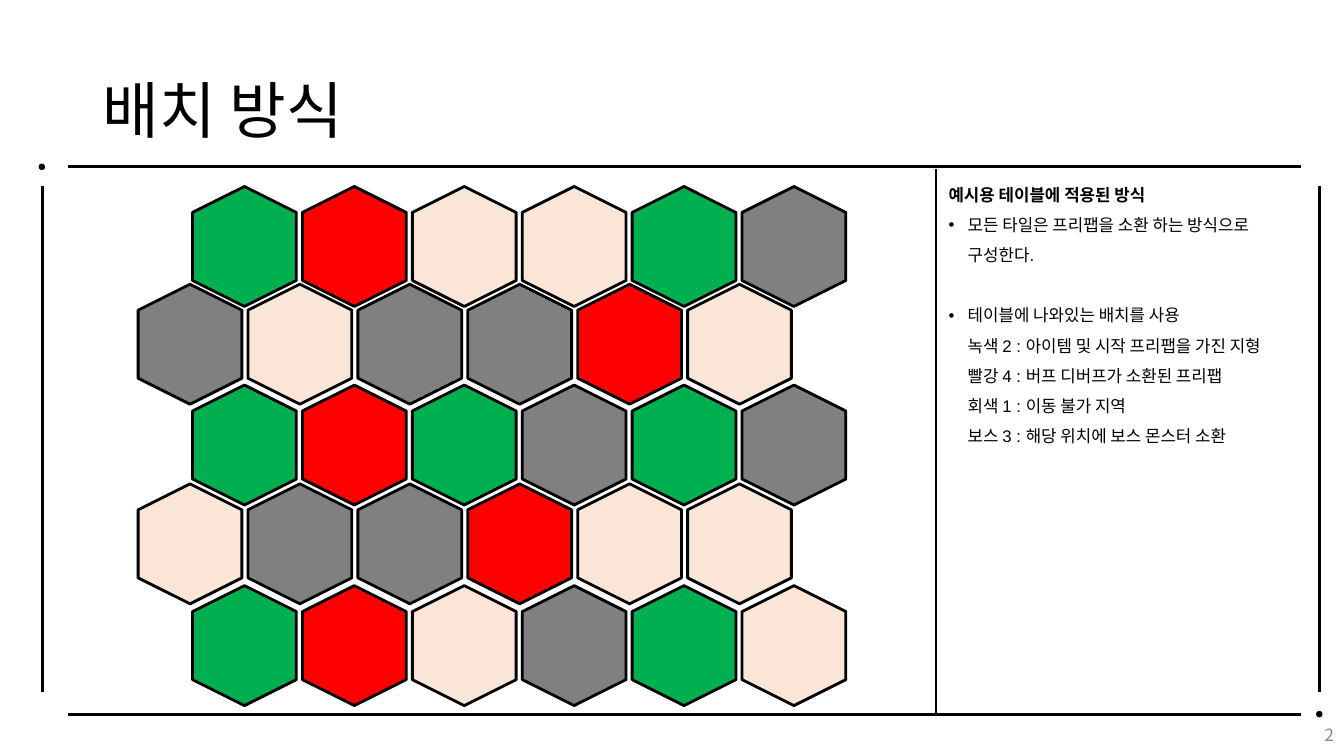
from lxml.etree import SubElement
from pptx import Presentation
from pptx.dml.color import RGBColor
from pptx.enum.shapes import MSO_CONNECTOR, MSO_SHAPE
from pptx.enum.text import MSO_ANCHOR, PP_ALIGN
from pptx.oxml.ns import qn
from pptx.util import Inches, Pt

BLACK = "000000"
KOREAN_FONT = "Noto Sans CJK KR"
TILE_COLORS = {"G": "00B050", "R": "FF0000", "P": "FBE5D6", "X": "808080"}
TILE_ROWS = [
    (1.83, 1.93, "GRPPGX"),
    (1.29, 2.9, "XPXXRP"),
    (1.83, 3.9, "GRGXGX"),
    (1.29, 4.88, "PXXRPP"),
    (1.83, 5.89, "GRPXGP"),
]
TILE_PITCH = 1.09
FRAME_LINES = [
    (0.67, 1.65, 12.9, 1.65),
    (0.67, 7.09, 12.9, 7.09),
    (0.42, 1.85, 0.42, 6.87),
    (13.09, 1.85, 13.09, 6.87),
]
FRAME_DOTS = [(13.06, 7.06), (0.39, 1.63)]
NOTES_HEADING = "예시용 테이블에 적용된 방식"
NOTES_BULLETS = [
    ["모든 타일은 프리팹을 소환 하는 방식으로 ", "구성한다."],
    [
        "테이블에 나와있는 배치를 사용",
        "녹색 2 : 아이템 및 시작 프리팹을 가진 지형",
        "빨강 4 : 버프 디버프가 소환된 프리팹",
        "회색 1 : 이동 불가 지역",
        "보스 3 : 해당 위치에 보스 몬스터 소환",
    ],
]


def rgb(color):
    return RGBColor.from_string(color)


def add_solid(s, kind, box, fill, line_width):
    sp = s.shapes.add_shape(kind, *map(Inches, box))
    sp.shadow.inherit = False
    sp.fill.solid()
    sp.fill.fore_color.rgb = rgb(fill)
    sp.line.color.rgb = rgb(BLACK)
    sp.line.width = Pt(line_width)
    return sp


def add_line(s, ends, width):
    line = s.shapes.add_connector(MSO_CONNECTOR.STRAIGHT, *map(Inches, ends))
    line.line.color.rgb = rgb(BLACK)
    line.line.width = Pt(width)
    SubElement(line._element.spPr, qn("a:effectLst"))


def add_box(s, box, anchor):
    tf = s.shapes.add_textbox(*map(Inches, box)).text_frame
    tf.word_wrap = True
    tf.vertical_anchor = anchor
    return tf


def add_run(p, text, color=BLACK, **font):
    r = p.add_run()
    r.text = text
    r.font.color.rgb = rgb(color)
    for name, value in font.items():
        setattr(r.font, name, value)
    SubElement(r._r.get_or_add_rPr(), qn("a:ea"), typeface=KOREAN_FONT)


def set_bullet(p):
    pPr = p._p.get_or_add_pPr()
    pPr.set("marL", str(Inches(0.19)))
    pPr.set("indent", str(-Inches(0.19)))
    color = SubElement(pPr, qn("a:buClr"))
    SubElement(color, qn("a:srgbClr"), val=BLACK)
    SubElement(pPr, qn("a:buFont"), typeface="Arial")
    SubElement(pPr, qn("a:buChar"), char="•")


def add_tiles(s):
    for left, top, row in TILE_ROWS:
        for i, key in enumerate(row):
            box = (left + i * TILE_PITCH, top, 1.19, 1.03)
            tile = add_solid(s, MSO_SHAPE.HEXAGON, box, TILE_COLORS[key], 2)
            tile.rotation = 270


def add_frame(s):
    for ends in FRAME_LINES:
        add_line(s, ends, 2.25)
    for left, top in FRAME_DOTS:
        add_solid(s, MSO_SHAPE.OVAL, (left, top, 0.05, 0.05), BLACK, 1)


def add_notes_panel(s):
    font = {"name": "Arial", "size": Pt(12)}
    tf = add_box(s, (9.31, 1.68, 4, 2.83), MSO_ANCHOR.TOP)
    p = tf.paragraphs[0]
    p.line_spacing = 1.5
    add_run(p, NOTES_HEADING, bold=True, **font)
    for i, lines in enumerate(NOTES_BULLETS):
        p = tf.add_paragraph()
        set_bullet(p)
        p.line_spacing = 1.5
        p.space_before = Pt(21.5 * i)
        for j, text in enumerate(lines):
            if j:
                p.add_line_break()
            add_run(p, text, **font)


def main():
    prs = Presentation()
    prs.slide_width, prs.slide_height = Inches(13.33), Inches(7.5)
    s = prs.slides.add_slide(prs.slide_layouts[6])

    add_tiles(s)
    p = add_box(s, (0.92, 0.4, 11.5, 1.45), MSO_ANCHOR.MIDDLE).paragraphs[0]
    p.line_spacing = 0.9
    add_run(p, "배치 방식", name=KOREAN_FONT, size=Pt(44))
    add_frame(s)
    p = add_box(s, (10.33, 7.09, 3, 0.4), MSO_ANCHOR.MIDDLE).paragraphs[0]
    p.alignment = PP_ALIGN.RIGHT
    add_run(p, "2", "888888", name=KOREAN_FONT, size=Pt(12))
    add_line(s, (9.28, 1.68, 9.28, 7.09), 1.5)
    add_notes_panel(s)

    prs.save("out.pptx")


if __name__ == "__main__":
    main()
